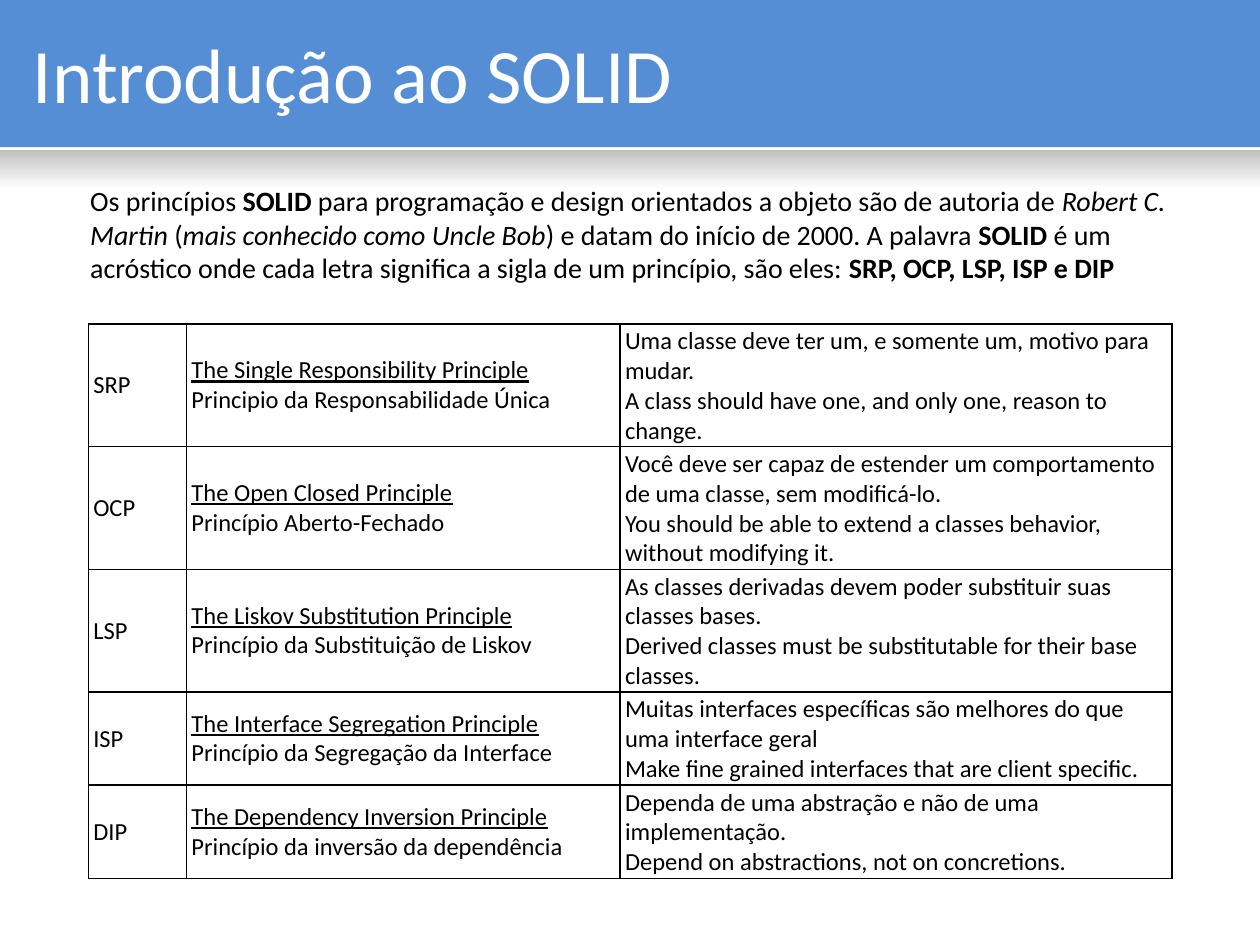
from lxml.etree import SubElement
from pptx import Presentation
from pptx.dml.color import RGBColor
from pptx.enum.shapes import MSO_SHAPE
from pptx.enum.text import MSO_ANCHOR, MSO_AUTO_SIZE, PP_ALIGN
from pptx.oxml.ns import qn
from pptx.util import Cm, Pt

BLUE = RGBColor(0x55, 0x8E, 0xD5)
GRAY = RGBColor(0xBF, 0xBF, 0xBF)
WHITE = RGBColor(0xFF, 0xFF, 0xFF)
BLACK = RGBColor(0, 0, 0)

INTRO = [
    ("Os princípios ", {}),
    ("SOLID", {"bold": True}),
    (" para programação e design orientados a objeto são de autoria de ", {}),
    ("Robert C. Martin", {"italic": True}),
    (" (", {}),
    ("mais conhecido como Uncle Bob", {"italic": True}),
    (") e datam do início de 2000. A palavra ", {}),
    ("SOLID", {"bold": True}),
    (" é um acróstico onde cada letra significa a sigla de um princípio, são eles: ", {}),
    ("SRP, OCP, LSP, ISP e DIP", {"bold": True}),
]

# Sigla, name in English and Portuguese, rule in Portuguese and English
RULES = [
    ("SRP", "The Single Responsibility Principle",
     "Principio da Responsabilidade Única",
     "Uma classe deve ter um, e somente um, motivo para mudar.",
     "A class should have one, and only one, reason to change."),
    ("OCP", "The Open Closed Principle",
     "Princípio Aberto-Fechado",
     "Você deve ser capaz de estender um comportamento de uma classe, sem modificá-lo.",
     "You should be able to extend a classes behavior, without modifying it."),
    ("LSP", "The Liskov Substitution Principle",
     "Princípio da Substituição de Liskov",
     "As classes derivadas devem poder substituir suas classes bases.",
     "Derived classes must be substitutable for their base classes."),
    ("ISP", "The Interface Segregation Principle",
     "Princípio da Segregação da Interface",
     "Muitas interfaces específicas são melhores do que uma interface geral",
     "Make fine grained interfaces that are client specific."),
    ("DIP", "The Dependency Inversion Principle",
     "Princípio da inversão da dependência",
     "Dependa de uma abstração e não de uma implementação.",
     "Depend on abstractions, not on concretions."),
]


def write(par, text, size=14, color=BLACK, **style):
    """Add a run to a paragraph; style holds bold, italic or underline."""
    run = par.add_run()
    run.text = text
    run.font.name = "Calibri"
    run.font.size = Pt(size)
    run.font.color.rgb = color
    for name, value in style.items():
        setattr(run.font, name, value)


def frame(cell):
    """Give a table cell thin black borders on all sides."""
    props = cell._tc.get_or_add_tcPr()
    for side in ("a:lnL", "a:lnR", "a:lnT", "a:lnB"):
        line = SubElement(props, qn(side), w=str(Pt(1)))
        fill = SubElement(line, qn("a:solidFill"))
        SubElement(fill, qn("a:srgbClr"), val=str(BLACK))


deck = Presentation()
deck.slide_width, deck.slide_height = Cm(25.4), Cm(19.05)
slide = deck.slides.add_slide(deck.slide_layouts[5])
shapes = slide.shapes

# Header band and the shade below it, both behind the title
title = shapes.title
band = shapes.add_shape(MSO_SHAPE.RECTANGLE, 0, 0, deck.slide_width, Cm(2.97))
band.fill.solid()
band.fill.fore_color.rgb = BLUE
shade = shapes.add_shape(MSO_SHAPE.RECTANGLE, 0, Cm(3.02), deck.slide_width, Cm(7.14))
shade.fill.gradient()
shade.fill.gradient_angle = 270
for stop, spot, color in zip(shade.fill.gradient_stops, (0, 0.11), (GRAY, WHITE)):
    stop.position = spot
    stop.color.rgb = color
for shape in (band, shade):
    shape.line.fill.background()
    shape.shadow.inherit = False
    title.element.addprevious(shape.element)

title.left, title.top, title.width, title.height = Cm(0.41), Cm(0.41), Cm(14.68), Cm(2.13)
title.text_frame.auto_size = MSO_AUTO_SIZE.NONE
title.text_frame.vertical_anchor = MSO_ANCHOR.MIDDLE
head = title.text_frame.paragraphs[0]
head.alignment = PP_ALIGN.LEFT
write(head, "Introdução ao SOLID", size=44, color=WHITE)

intro = shapes.add_textbox(Cm(1.57), Cm(3.58), Cm(22.63), Cm(3)).text_frame
intro.word_wrap = True
for text, style in INTRO:
    write(intro.paragraphs[0], text, size=16, **style)

# Table of the five principles
widths = (1.98, 8.74, 11.13)
heights = (2.47, 2.47, 2.47, 1.87, 1.87)
table = shapes.add_table(len(heights), len(widths), Cm(1.78), Cm(6.53),
                         Cm(sum(widths)), Cm(sum(heights))).table
table.first_row = table.horz_banding = False
for col, width in zip(table.columns, widths):
    col.width = Cm(width)
for row, height, (code, name, nome, regra, rule) in zip(table.rows, heights, RULES):
    row.height = Cm(height)
    for cell, lines in zip(row.cells, ([code], [name, nome], [regra, rule])):
        cell.vertical_anchor = MSO_ANCHOR.MIDDLE
        cell.margin_left = cell.margin_right = Cm(0.1)
        cell.margin_top = cell.margin_bottom = Cm(0.05)
        frame(cell)
        cell.fill.background()
        for i, text in enumerate(lines):
            body = cell.text_frame
            par = body.add_paragraph() if i else body.paragraphs[0]
            write(par, text, underline=text == name)

deck.save("out.pptx")
